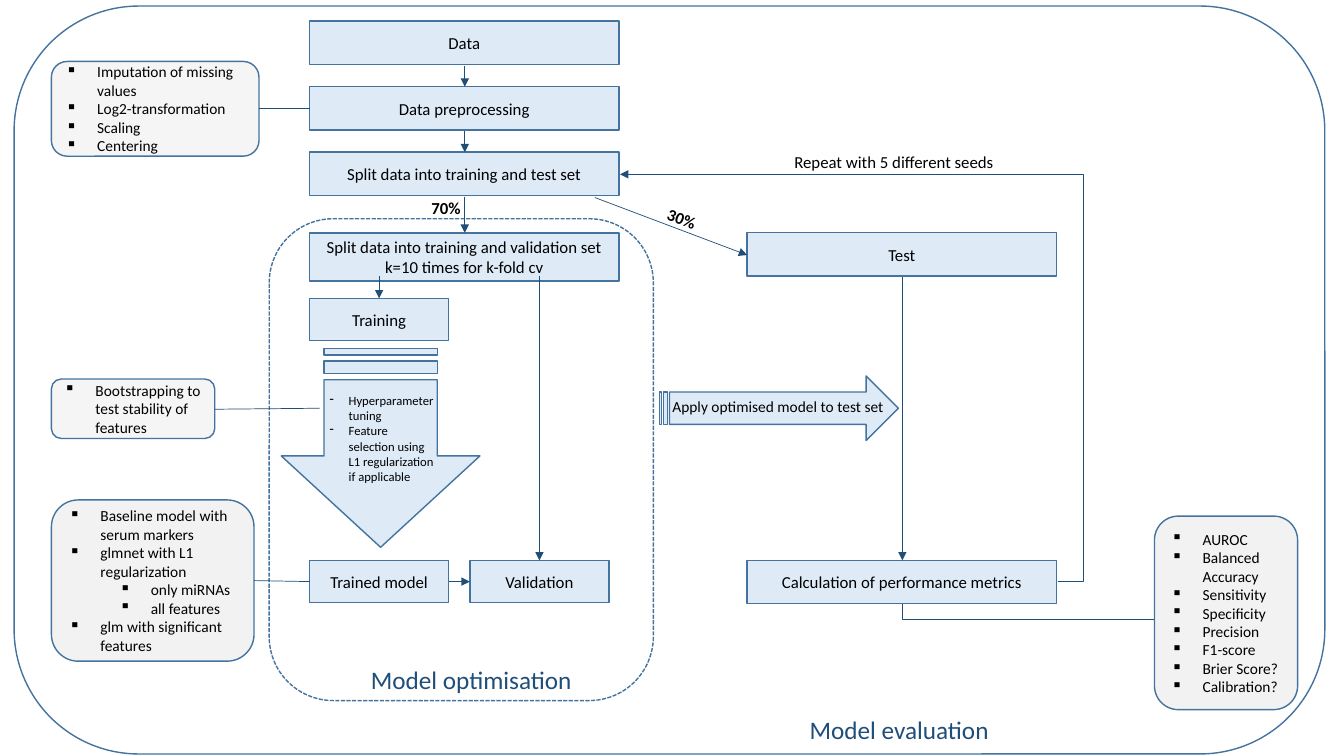
from lxml import etree
from pptx import Presentation
from pptx.dml.color import RGBColor
from pptx.enum import dml, shapes, text
from pptx.oxml import ns
from pptx.util import Pt

PX = 9144  # 100 px to the inch
BLACK = RGBColor(0x00, 0x00, 0x00)
NAVY = RGBColor(0x1F, 0x4E, 0x79)
OUTLINE = RGBColor(0x43, 0x73, 0x9E)
PALE_BLUE = RGBColor(0xDE, 0xEB, 0xF7)
GREY = RGBColor(0xF2, 0xF2, 0xF2)
WARM_GREY = RGBColor(0xED, 0xED, 0xED)
RECT = shapes.MSO_SHAPE.RECTANGLE
ROUND = shapes.MSO_SHAPE.ROUNDED_RECTANGLE
STRIPED = shapes.MSO_SHAPE.STRIPED_RIGHT_ARROW
LEFT, CENTER = text.PP_ALIGN.LEFT, text.PP_ALIGN.CENTER
TOP, MIDDLE = text.MSO_ANCHOR.TOP, text.MSO_ANCHOR.MIDDLE

prs = Presentation()
prs.slide_width, prs.slide_height = 1333 * PX, 750 * PX
slide = prs.slides.add_slide(prs.slide_layouts[5])


def put_text(holder, content, size=12, color=BLACK, bold=False, align=LEFT,
             anchor=TOP, bullet=None, hang=31):
    """Fill a shape, one paragraph a line; a leading tab makes a sub-item."""
    frame = holder.text_frame
    frame.word_wrap = True
    frame.auto_size = text.MSO_AUTO_SIZE.NONE
    frame.vertical_anchor = anchor
    for number, line in enumerate(content.split("\n")):
        para = frame.add_paragraph() if number else frame.paragraphs[0]
        para.alignment = align
        run = para.add_run()
        run.text = line.strip()
        run.font.name, run.font.size, run.font.bold = "Calibri", Pt(size), bold
        run.font.color.rgb = color
        if bullet:
            para.level = 1 if line.startswith("\t") else 0
            props = para._p.get_or_add_pPr()
            props.set("marL", str((hang + 50 * para.level) * PX))
            props.set("indent", str(-hang * PX))
            etree.SubElement(props, ns.qn("a:buChar")).set("char", bullet)


def connect(x1, y1, x2, y2, arrow=True, bend=None, adjust=None):
    """Draw a thin line, optionally bent and with an arrowhead at its end."""
    kind = shapes.MSO_CONNECTOR.ELBOW if bend else shapes.MSO_CONNECTOR.STRAIGHT
    link = slide.shapes.add_connector(kind, x1 * PX, y1 * PX, x2 * PX, y2 * PX)
    link.line.color.rgb, link.line.width = NAVY, Pt(0.5)
    props = link._element.spPr
    if arrow:
        etree.SubElement(link.line._get_or_add_ln(), ns.qn("a:tailEnd")).set("type", "triangle")
    if bend:
        geometry = props.find(ns.qn("a:prstGeom"))
        geometry.set("prst", bend)
        if adjust:
            guide = etree.SubElement(geometry.find(ns.qn("a:avLst")), ns.qn("a:gd"))
            guide.set("name", "adj1")
            guide.set("fmla", f"val {adjust}")
    etree.SubElement(props, ns.qn("a:effectLst"))


# Frames, steps, block arrows and notes
step = {"align": CENTER, "anchor": MIDDLE}
note = {"size": 11, "anchor": MIDDLE, "bullet": "▪"}
outlined = [
    (ROUND, 14, 6, 1300, 742, None, None, {}),
    (ROUND, 267, 217, 381, 478, None, None, {}),
    (RECT, 307, 21, 307, 43, PALE_BLUE, "Data", step),
    (RECT, 307, 86, 307, 43, PALE_BLUE, "Data preprocessing", step),
    (RECT, 307, 151, 307, 43, PALE_BLUE, "Split data into training and test set", step),
    (RECT, 307, 231, 307, 48, PALE_BLUE,
     "Split data into training and validation set\nk=10 times for k-fold cv", step),
    (RECT, 741, 231, 307, 43, PALE_BLUE, "Test", step),
    (RECT, 741, 556, 307, 43, PALE_BLUE, "Calculation of performance metrics", step),
    (RECT, 307, 296, 138, 42, PALE_BLUE, "Training", step),
    (RECT, 307, 556, 138, 42, PALE_BLUE, "Trained model", step),
    (RECT, 466, 556, 138, 42, PALE_BLUE, "Validation", step),
    (STRIPED, 279, 346, 197, 197, PALE_BLUE, None, {}),
    (STRIPED, 654, 373, 237, 64, PALE_BLUE, None, {}),
    (ROUND, 51, 61, 206, 94, GREY,
     "Imputation of missing values\nLog2-transformation\nScaling\nCentering", note),
    (ROUND, 51, 376, 162, 59, GREY, "Bootstrapping to test stability of features", note),
    (ROUND, 51, 496, 201, 160, WARM_GREY,
     "Baseline model with serum markers\nglmnet with L1 regularization\n"
     "\tonly miRNAs\n\tall features\nglm with significant features", note),
    (ROUND, 1145, 512, 142, 192, WARM_GREY,
     "AUROC\nBalanced Accuracy\nSensitivity\nSpecificity\nPrecision\nF1-score\n"
     "Brier Score?\nCalibration?", note),
]
drawn = []
for kind, left, top, width, height, fill, content, style in outlined:
    part = slide.shapes.add_shape(kind, left * PX, top * PX, width * PX, height * PX)
    part.shadow.inherit = False
    part.line.color.rgb, part.line.width = OUTLINE, Pt(1)
    if fill is None:
        part.fill.background()
    else:
        part.fill.solid()
        part.fill.fore_color.rgb = fill
    if fill in (GREY, WARM_GREY):
        tint = part._element.spPr.find(ns.qn("a:solidFill"))[0]
        etree.SubElement(tint, ns.qn("a:alpha")).set("val", "70000")
    if content:
        put_text(part, content, **style)
    drawn.append(part)

optimisation_frame, tuning_arrow = drawn[1], drawn[11]
optimisation_frame.line.dash_style = dml.MSO_LINE.SQUARE_DOT
tuning_arrow.rotation = 90
tuning_arrow.adjustments[0], tuning_arrow.adjustments[1] = 0.57, 0.46

# Flow arrows
for flow in [(461, 65, 461, 86), (461, 130, 461, 151), (461, 195, 461, 231),
             (376, 274, 376, 296), (535, 274, 535, 556), (445, 577, 466, 577),
             (590, 196, 741, 253), (895, 275, 895, 556)]:
    connect(*flow)
connect(1049, 577, 615, 173, bend="bentConnector3", adjust=-5800)

# Lines to the notes
for tie in [(257, 108, 307, 108), (213, 406, 317, 405), (252, 576, 307, 577)]:
    connect(*tie, arrow=False)
connect(1145, 614, 895, 599, arrow=False, bend="bentConnector2")

# Labels
heading = {"size": 18, "color": NAVY}
for left, top, width, height, angle, content, style in [
    (418, 191, 77, 30, 0, "70%", {"bold": True}),
    (651, 207, 77, 30, 21.3, "30%", {"bold": True}),
    (778, 146, 288, 30, 0, "Repeat with 5 different seeds", {}),
    (657, 389, 259, 29, 0, "Apply optimised model to test set", {"size": 11}),
    (317, 385, 124, 101, 0,
     "Hyperparameter tuning\nFeature selection using L1 regularization if applicable",
     {"size": 9, "bullet": "-", "hang": 19}),
    (358, 654, 246, 40, 0, "Model optimisation", heading),
]:
    label = slide.shapes.add_textbox(left * PX, top * PX, width * PX, height * PX)
    label.rotation = angle
    put_text(label, content, **style)

# Title
title = slide.shapes.title
title.left, title.top, title.width, title.height = 793 * PX, 704 * PX, 246 * PX, 40 * PX
put_text(title, "Model evaluation", **heading)

prs.save("out.pptx")
